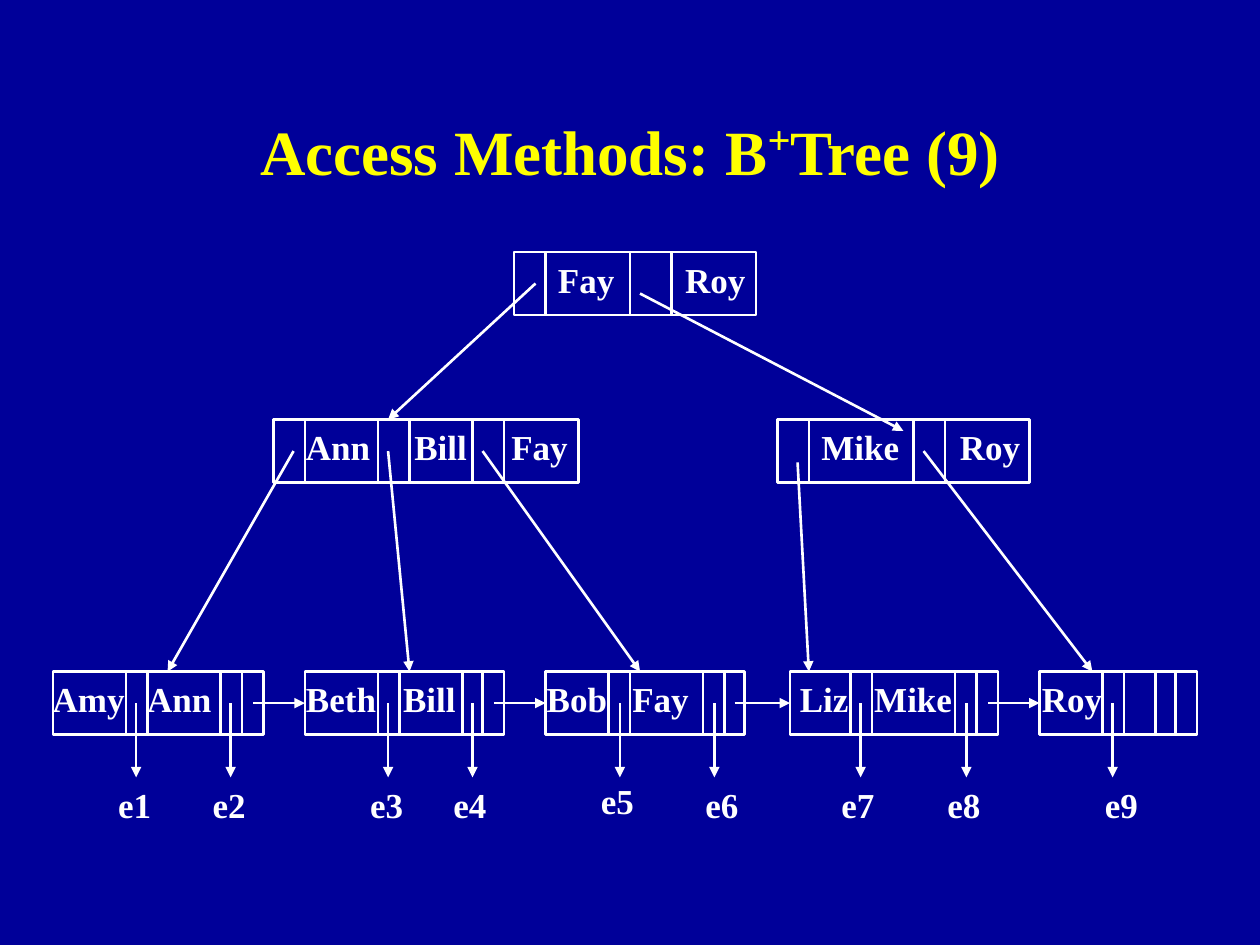
from lxml import etree
from pptx import Presentation
from pptx.dml.color import RGBColor
from pptx.enum.shapes import MSO_CONNECTOR, MSO_SHAPE
from pptx.enum.text import MSO_ANCHOR, MSO_AUTO_SIZE, PP_ALIGN
from pptx.oxml.ns import qn
from pptx.util import Inches, Pt

LINE = MSO_CONNECTOR.STRAIGHT
RECT = MSO_SHAPE.RECTANGLE
GROW = MSO_AUTO_SIZE.SHAPE_TO_FIT_TEXT
MID = MSO_ANCHOR.MIDDLE
MEAN = PP_ALIGN.CENTER

HUES = {"back": "000099", "head": "FFFF00", "ink": "FFFFFF"}
FACE = {"name": "Times New Roman", "bold": True}
BODY = {**FACE, "size": Pt(20)}
HEAD = {**FACE, "size": Pt(36)}
PLUS = {**FACE, "size": Pt(40)}
FRAME = {"word_wrap": True, "auto_size": GROW}
PAD = 0.1
TALL = 0.5

TOP = (4.08, 2, 1.92, [0.25, 0.92, 1.25], [("Fay", 0.35), ("Roy", 1.36)], 1.83)
INNER = [
    (2.17, 3.33, 2.42, [0.25, 0.83, 1.08, 1.58, 1.83],
     [("Ann", 0.26), ("Bill", 1.12), ("Fay", 1.89)], 2.67),
    (6.17, 3.33, 2, [0.25, 1.08, 1.33], [("Mike", 0.35), ("Roy", 1.45)], 2.33),
]
LEAVES = [
    (0.42, 5.33, 1.67, [0.58, 0.75, 1.33, 1.5], [("Amy", 0), ("Ann", 0.75)], 1.56),
    (2.42, 5.33, 1.58, [0.58, 0.75, 1.25, 1.41], [("Beth", 0.01), ("Bill", 0.78)], 2.25),
    (4.33, 5.33, 1.58, [0.5, 0.67, 1.25, 1.42], [("Bob", 0.01), ("Fay", 0.69)], 1.75),
    (6.27, 5.33, 1.65, [0.48, 0.65, 1.31, 1.48], [("Liz", 0.08), ("Mike", 0.67)], 2.17),
    (8.25, 5.33, 1.25, [0.5, 0.67, 0.92, 1.08], [("Roy", 0.02)], 1.02),
]
LINKS = [
    ((4.25, 2.25), (3.08, 3.33)),
    ((5.08, 2.33), (7.17, 3.42)),
    ((2.33, 3.58), (1.33, 5.33)),
    ((3.08, 3.58), (3.25, 5.33)),
    ((3.83, 3.58), (5.08, 5.33)),
    ((6.33, 3.67), (6.42, 5.33)),
    ((7.33, 3.58), (8.67, 5.33)),
]
DROPS = [
    (1.08, 0.84, 6.17), (1.83, 1.59, 6.17), (3.08, 2.84, 6.17),
    (3.75, 3.5, 6.17), (4.92, 4.67, 6.14), (5.67, 5.5, 6.17),
    (6.83, 6.58, 6.17), (7.67, 7.42, 6.17), (8.83, 8.67, 6.17),
]


def tint(name):
    return RGBColor.from_string(HUES[name])


def apply(item, values):
    for key, value in values.items():
        setattr(item, key, value)


def style(font, values, hue):
    apply(font, values)
    font.color.rgb = tint(hue)


def stroke(line):
    line.color.rgb = tint("ink")
    line.width = Pt(1.5)


def edge(slide, start, end, arrow=True):
    ends = [Inches(n) for n in (*start, *end)]
    wire = slide.shapes.add_connector(LINE, *ends)
    stroke(wire.line)
    if arrow:
        tip = etree.SubElement(wire.line._get_or_add_ln(), qn("a:tailEnd"))
        tip.set("type", "triangle")
    etree.SubElement(wire._element.spPr, qn("a:effectLst"))


def label(slide, left, top, width, text, tabs=()):
    area = [Inches(n) for n in (left, top, width, 0.44)]
    frame = slide.shapes.add_textbox(*area).text_frame
    apply(frame, FRAME)
    para = frame.paragraphs[0]
    if tabs:
        stops = etree.SubElement(para._p.get_or_add_pPr(), qn("a:tabLst"))
        for tab in tabs:
            stop = etree.SubElement(stops, qn("a:tab"))
            stop.set("pos", str(Inches(tab)))
            stop.set("algn", "l")
    run = para.add_run()
    run.text = text
    style(run.font, BODY, "ink")


def node(slide, left, top, width, cuts, words, span):
    area = [Inches(n) for n in (left, top, width, TALL)]
    box = slide.shapes.add_shape(RECT, *area)
    box.shadow.inherit = False
    box.fill.background()
    stroke(box.line)
    for cut in cuts:
        edge(slide, (left + cut, top), (left + cut, top + TALL), False)
    first = words[0][1]
    tabs = [pos - first for _, pos in words[1:]]
    text = "\t".join(word for word, _ in words)
    label(slide, left + first - PAD, top, span, text, tabs)


def title(slide, left, top, width, height):
    head = slide.shapes.title
    apply(head, {"left": Inches(left), "top": Inches(top),
                 "width": Inches(width), "height": Inches(height)})
    head.text_frame.vertical_anchor = MID
    para = head.text_frame.paragraphs[0]
    para.alignment = MEAN
    parts = [("Access Methods: B", HEAD, 0), ("+", PLUS, 30000), ("Tree (9)", HEAD, 0)]
    for text, values, rise in parts:
        run = para.add_run()
        run.text = text
        style(run.font, values, "head")
        run._r.get_or_add_rPr().set("baseline", str(rise))


def chain(slide, leaves):
    for leaf in leaves:
        node(slide, *leaf)
    for (left, top, width, *_), after in zip(leaves, leaves[1:]):
        mid = top + TALL / 2
        edge(slide, (left + width - 0.08, mid), (after[0], mid))


def drops(slide, top, end):
    for num, (mid, left, low) in enumerate(DROPS, 1):
        edge(slide, (mid, top), (mid, end))
        label(slide, left, low, 0.46, f"e{num}")


def main():
    deck = Presentation()
    deck.slide_width, deck.slide_height = Inches(10), Inches(7.5)
    slide = deck.slides.add_slide(deck.slide_layouts[5])
    slide.background.fill.solid()
    slide.background.fill.fore_color.rgb = tint("back")
    title(slide, 0.75, 0.67, 8.5, 1)
    chain(slide, LEAVES)
    for part in (*INNER, TOP):
        node(slide, *part)
    for start, end in LINKS:
        edge(slide, start, end)
    drops(slide, 5.58, 6.17)
    deck.save("out.pptx")


if __name__ == "__main__":
    main()
